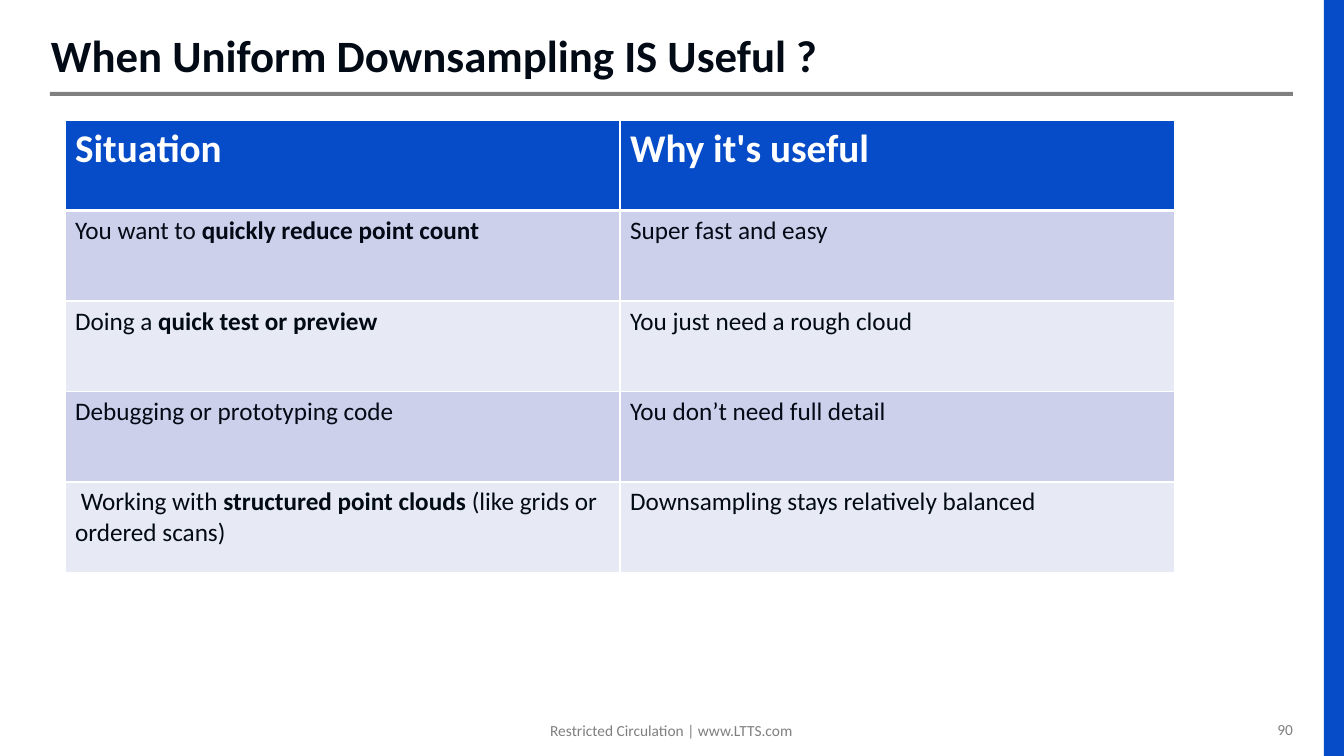
from lxml import etree
from pptx import Presentation
from pptx.dml.color import RGBColor
from pptx.enum.shapes import MSO_SHAPE
from pptx.enum.text import MSO_ANCHOR, PP_ALIGN
from pptx.oxml.ns import qn
from pptx.util import Emu, Pt

RECTANGLE = MSO_SHAPE.RECTANGLE
BOTTOM = MSO_ANCHOR.BOTTOM
LEFT, CENTER, RIGHT = PP_ALIGN.LEFT, PP_ALIGN.CENTER, PP_ALIGN.RIGHT

# Content: each cell is a list of (text, bold) runs
TITLE = "When Uniform Downsampling IS Useful ?"
FOOTER = "Restricted Circulation | www.LTTS.com"
PAGE_NUMBER = "90"
HEADER = [[("Situation", True)], [("Why it's useful", True)]]
SITUATIONS = [
    [[("You want to ", False), ("quickly reduce point count", True)],
     [("Super fast and easy", False)]],
    [[("Doing a ", False), ("quick test or preview", True)],
     [("You just need a rough cloud", False)]],
    [[("Debugging or prototyping code", False)],
     [("You don’t need full detail", False)]],
    [[(" Working with ", False), ("structured point clouds", True),
      (" (like grids or ordered scans)", False)],
     [("Downsampling stays relatively balanced", False)]],
]

# Style
FONT = "Calibri"
INK, BLUE, WHITE = "020B15", "064CC8", "FFFFFF"
RULE_GRAY, FOOTER_GRAY = "808080", "7F7F7F"
BANDS = ["CCD0EB", "E7E9F5"]

# Layout in px
SLIDE_W, SLIDE_H = 1344, 756
EMU_PER_PX = 914400 / 100.8
TABLE_LEFT, TABLE_TOP = 65, 120
COLUMN_W, ROW_H = 555, 90.5


def px(length):
    return Emu(round(length * EMU_PER_PX))


def color(hex_string):
    return RGBColor.from_string(hex_string)


def write(frame, runs, size, ink, align=LEFT, bold=False):
    """Fill the first paragraph with a string or a list of (text, bold) runs."""
    if isinstance(runs, str):
        runs = [(runs, bold)]
    paragraph = frame.paragraphs[0]
    paragraph.alignment = align
    for text, is_bold in runs:
        run = paragraph.add_run()
        run.text = text
        run.font.name = FONT
        run.font.size = Pt(size)
        run.font.bold = is_bold
        run.font.color.rgb = color(ink)
    return paragraph


def add_bar(left, top, width, height, fill):
    bar = slide.shapes.add_shape(RECTANGLE, px(left), px(top), px(width), px(height))
    bar.shadow.inherit = False
    bar.fill.solid()
    bar.fill.fore_color.rgb = color(fill)
    bar.line.fill.background()


def add_footer(text, left, top, width, height, align, wrap):
    box = slide.shapes.add_textbox(px(left), px(top), px(width), px(height))
    box.text_frame.word_wrap = wrap
    write(box.text_frame, text, 11, FOOTER_GRAY, align=align)


def set_borders(cell, top, bottom):
    properties = cell._tc.get_or_add_tcPr()
    for side, points in (("L", 1), ("R", 1), ("T", top), ("B", bottom)):
        line = etree.SubElement(properties, qn(f"a:ln{side}"), w=str(Pt(points)))
        solid = etree.SubElement(line, qn("a:solidFill"))
        etree.SubElement(solid, qn("a:srgbClr"), val=WHITE)


presentation = Presentation()
presentation.slide_width, presentation.slide_height = px(SLIDE_W), px(SLIDE_H)
slide = presentation.slides.add_slide(presentation.slide_layouts[5])

# Footer and frame
add_footer(PAGE_NUMBER, 1235, 715, 68, 29, RIGHT, True)
add_footer(FOOTER, 538, 716, 267, 29, CENTER, False)
add_bar(50, 92, 1243, 4, RULE_GRAY)
add_bar(1324, 0, 20, SLIDE_H, BLUE)

# Title
title = slide.shapes.title
title.left, title.top, title.width, title.height = px(51), px(27), px(1243), px(60)
title_frame = title.text_frame
title_frame.margin_left = title_frame.margin_right = 0
title_frame.margin_top = title_frame.margin_bottom = px(5)
title_frame.vertical_anchor = BOTTOM
title_frame.word_wrap = True
write(title_frame, TITLE, 32, INK, bold=True).line_spacing = 0.9

# Table
rows = [HEADER] + SITUATIONS
table = slide.shapes.add_table(
    len(rows), len(HEADER), px(TABLE_LEFT), px(TABLE_TOP),
    px(COLUMN_W * len(HEADER)), px(ROW_H * len(rows))).table
for column in table.columns:
    column.width = px(COLUMN_W)
for r, row in enumerate(rows):
    table.rows[r].height = px(ROW_H)
    is_header = r == 0
    for c, runs in enumerate(row):
        cell = table.cell(r, c)
        set_borders(cell, top=3 if r == 1 else 1, bottom=3 if is_header else 1)
        cell.fill.solid()
        cell.fill.fore_color.rgb = color(BLUE if is_header else BANDS[(r - 1) % 2])
        write(cell.text_frame, runs, 28 if is_header else 18,
              WHITE if is_header else INK)

presentation.save("out.pptx")
